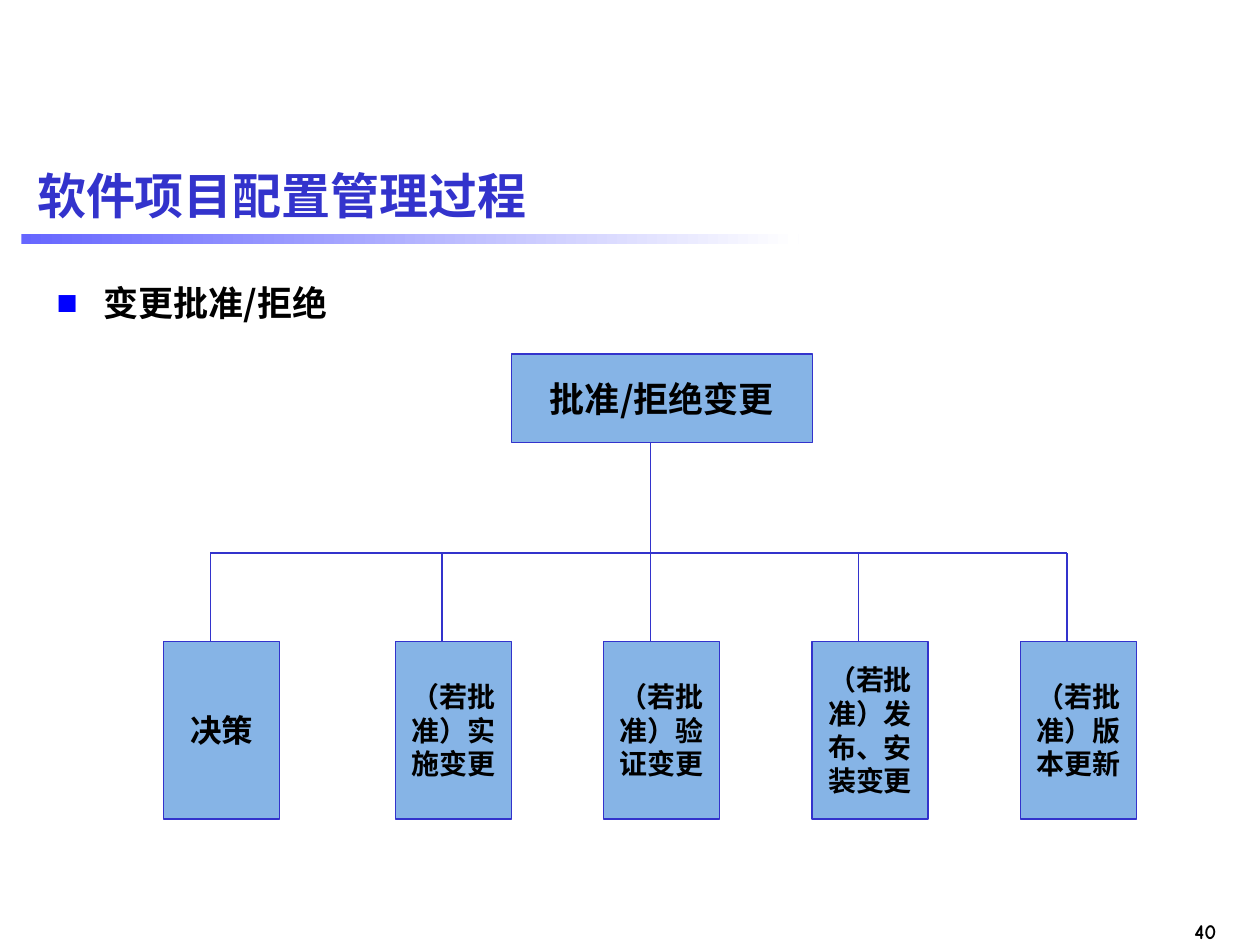
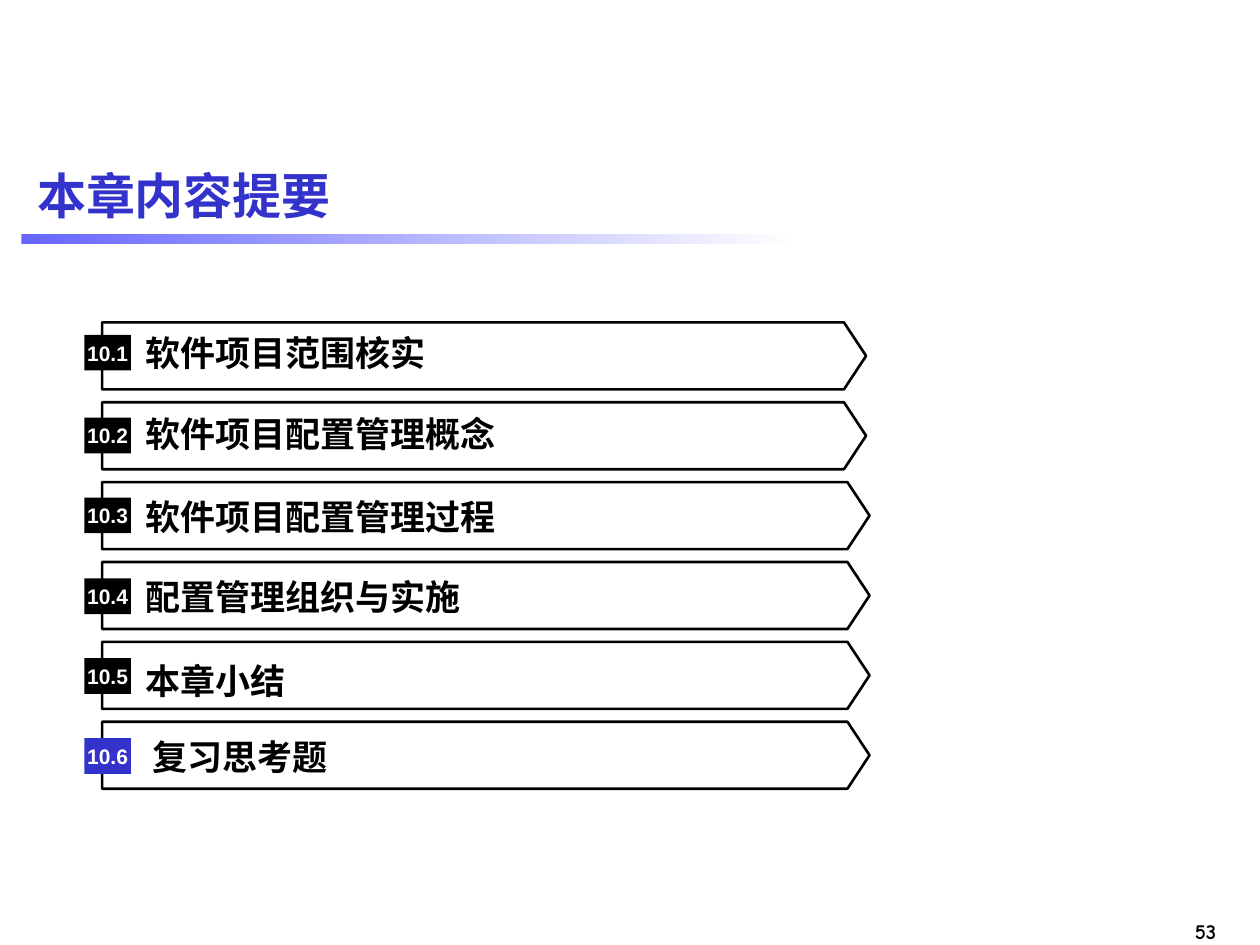
from lxml import etree
from pptx import Presentation
from pptx import util as u
from pptx.dml.color import RGBColor
from pptx.enum import shapes, text
from pptx.oxml.ns import qn

BLUE = RGBColor(0x33, 0x33, 0xCC)
BAND = RGBColor(0x66, 0x66, 0xFF)
SKY = RGBColor(0x86, 0xB4, 0xE6)
BLACK = RGBColor(0, 0, 0)
WHITE = RGBColor(0xFF, 0xFF, 0xFF)
HAN = "Noto Sans CJK SC"
SERIF = "Times New Roman"
SANS = "Arial"
NOTE = "Comic Neue"
LEFT, MID, RIGHT = text.PP_ALIGN.LEFT, text.PP_ALIGN.CENTER, text.PP_ALIGN.RIGHT
RECT = shapes.MSO_SHAPE.RECTANGLE
PLATE = shapes.MSO_SHAPE.PENTAGON

# Label, text middle and badge top below the row top, text inset
ROWS = [
    ("软件项目范围核实", 0.6, 0.25, 0.16),
    ("软件项目配置管理概念", 0.63, 0.31, 0.16),
    ("软件项目配置管理过程", 0.7, 0.31, 0.16),
    ("配置管理组织与实施", 0.7, 0.33, 0.16),
    ("本章小结", 0.78, 0.33, 0.16),
    ("复习思考题", 0.7, 0.33, 0.31),
]
# Label, size, left edge within the tree
STEPS = [
    ("决策", 18, 0),
    ("（若批准）实施变更", 16, 4.67),
    ("（若批准）验证变更", 16, 8.87),
    ("（若批准）发布、安装变更", 16, 13.07),
    ("（若批准）版本更新", 16, 17.27),
]


def cm(*sizes):
    return [u.Cm(size) for size in sizes]


def write(shape, words, face, size, color, align=LEFT, inset=(0.25, 0.13), middle=True):
    """Fill a shape with one bold paragraph and return the paragraph."""
    frame = shape.text_frame
    frame.word_wrap = True
    frame.margin_left = frame.margin_right = u.Cm(inset[0])
    frame.margin_top = frame.margin_bottom = u.Cm(inset[1])
    anchor = text.MSO_ANCHOR
    frame.vertical_anchor = anchor.MIDDLE if middle else anchor.TOP
    para = frame.paragraphs[0]
    para.text = words
    para.alignment = align
    font = para.font
    font.name, font.size, font.bold = face, u.Pt(size), True
    font.color.rgb = color
    return para


def label(slide, box, *args, **style):
    return write(slide.shapes.add_textbox(*cm(*box)), *args, **style)


def block(slide, kind, box, fill=None, line=None, width=0.75):
    shape = slide.shapes.add_shape(kind, *cm(*box))
    shape.shadow.inherit = False
    if fill is None:
        shape.fill.background()
    else:
        shape.fill.solid()
        shape.fill.fore_color.rgb = fill
    if line is None:
        shape.line.fill.background()
    else:
        shape.line.color.rgb = line
        shape.line.width = u.Pt(width)
    return shape


def wire(slide, x1, y1, x2, y2):
    line = slide.shapes.add_connector(shapes.MSO_CONNECTOR.STRAIGHT, *cm(x1, y1, x2, y2))
    line.line.color.rgb = BLUE
    line.line.width = u.Pt(0.75)
    etree.SubElement(line._element.spPr, qn("a:effectLst"))


def frame(deck, title, number):
    """Start a slide with its band, title and page number."""
    slide = deck.slides.add_slide(deck.slide_layouts[6])
    band = block(slide, RECT, (0.43, 4.72, 15.67, 0.21))
    band.fill.gradient()
    band.fill.gradient_angle = 0
    for stop, color in zip(band.fill.gradient_stops, (BAND, WHITE)):
        stop.color.rgb = color
    label(slide, (0.5, 2.92, 24.4, 2), title, SANS, 28, BLUE)
    label(slide, (23.37, 18.39, 1.4, 0.76), number, NOTE, 12, BLACK,
          align=RIGHT, middle=False)
    return slide


def point(slide, box, words):
    """Write a line with a square blue bullet."""
    para = label(slide, box, words, HAN, 20, BLACK, middle=False)
    props = para._p.get_or_add_pPr()
    props.set("marL", str(u.Cm(0.95)))
    props.set("indent", str(u.Cm(-0.95)))
    color = etree.Element(qn("a:buClr"))
    etree.SubElement(color, qn("a:srgbClr"), val="0000FF")
    face = etree.Element(qn("a:buFont"), typeface=SANS)
    mark = etree.Element(qn("a:buChar"), char="■")
    for spot, part in enumerate((color, face, mark)):
        props.insert(spot, part)


def tree(slide, x, y):
    """Draw the root, the bus below it and the five steps."""
    foot, bus, top = y + 1.78, y + 4.01, y + 5.79
    root = block(slide, RECT, (x + 7.01, y, 6.07, 1.78), SKY, BLUE)
    write(root, "批准/拒绝变更", HAN, 20, BLACK, MID)
    stems = [x + left + 0.94 for _, _, left in STEPS]
    trunk = stems[len(stems) // 2]
    wire(slide, stems[0], bus, stems[-1], bus)
    for stem, (words, size, left) in zip(stems, STEPS):
        wire(slide, stem, foot if stem == trunk else bus, stem, top)
        step = block(slide, RECT, (x + left, top, 2.34, 3.58), SKY, BLUE)
        write(step, words, SERIF, size, BLACK, MID)


def agenda(slide, x, y):
    """Stack the numbered arrows, with the last badge marked."""
    for row, (words, mid, drop, inset) in enumerate(ROWS):
        top = y + 1.61 * row
        last = row == len(ROWS) - 1
        width = 15.4 if row < 2 else 15.47
        plate = block(slide, PLATE, (x + 0.36, top, width, 1.35), None, BLACK, 1.5)
        plate.adjustments[0] = 0.33
        label(slide, (x + 1.07, top + mid - 0.42, 13.7, 0.84), words,
              SANS if last else HAN, 20, BLACK, inset=(inset, 0))
        badge = block(slide, RECT, (x, top + drop, 0.94, 0.72), BLUE if last else BLACK)
        write(badge, f"10.{row + 1}", SANS, 12, WHITE, MID, inset=(0, 0))


def main():
    deck = Presentation()
    deck.slide_width, deck.slide_height = cm(25.4, 19.05)
    slide = frame(deck, "软件项目配置管理过程", "40")
    point(slide, (0.89, 5.54, 24, 1.3), "变更批准/拒绝")
    tree(slide, 3.3, 7.14)
    agenda(frame(deck, "本章内容提要", "53"), 1.7, 6.5)
    deck.save("out.pptx")


if __name__ == "__main__":
    main()
